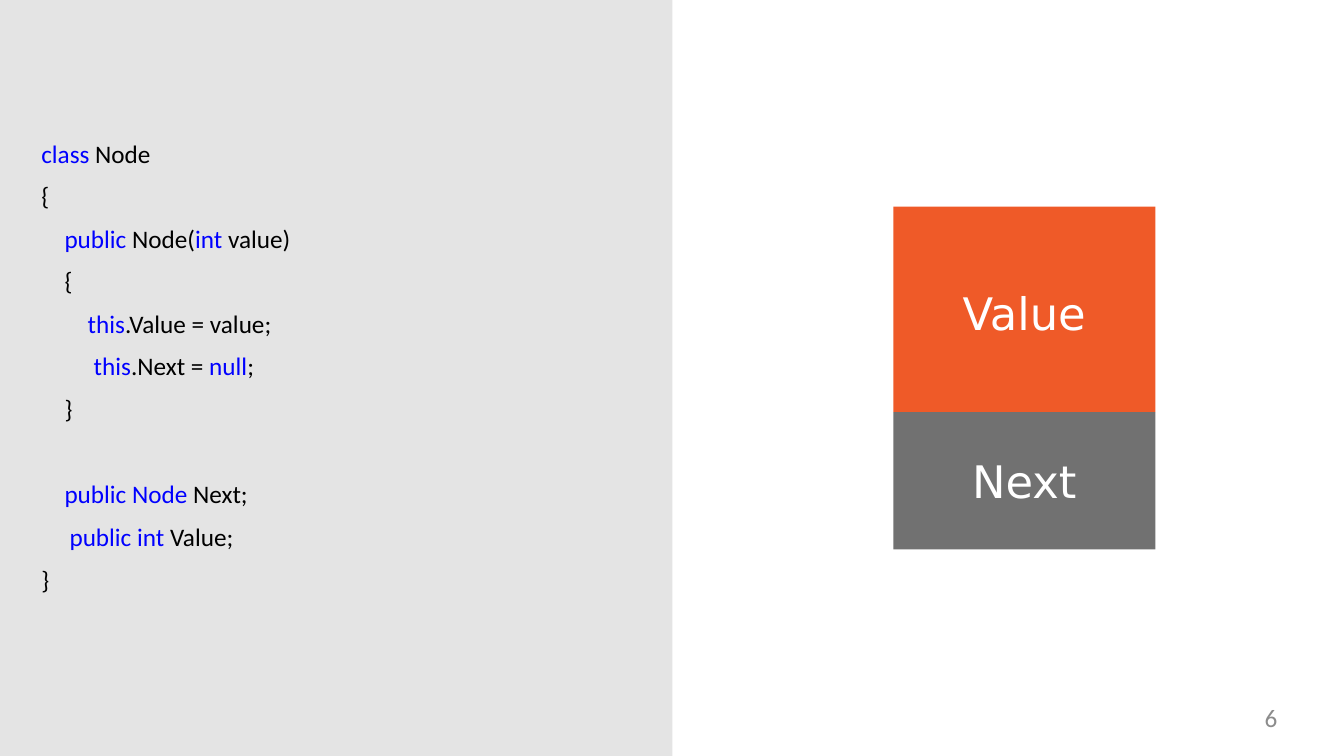
"""Builds a slide showing a linked-list node class beside a diagram of its fields."""
from pptx import Presentation
from pptx.dml.color import RGBColor
from pptx.enum.shapes import MSO_SHAPE
from pptx.enum.text import MSO_ANCHOR, PP_ALIGN
from pptx.util import Inches, Pt

RECTANGLE = MSO_SHAPE.RECTANGLE
MIDDLE = MSO_ANCHOR.MIDDLE
CENTER, RIGHT = PP_ALIGN.CENTER, PP_ALIGN.RIGHT

WHITE = RGBColor(0xFF, 0xFF, 0xFF)
BLACK = RGBColor(0x00, 0x00, 0x00)
KEYWORD_BLUE = RGBColor(0x00, 0x00, 0xFF)
PANEL_GRAY = RGBColor(0xE4, 0xE4, 0xE4)
VALUE_ORANGE = RGBColor(0xEF, 0x5A, 0x28)
NEXT_GRAY = RGBColor(0x71, 0x71, 0x71)
NUMBER_GRAY = RGBColor(0x8C, 0x8C, 0x8C)

PLAIN, KEYWORD = BLACK, KEYWORD_BLUE
LINE_GAP, SECTION_GAP = 8.8, 39.4

# Each line: indent in inches, space before in points, coloured pieces.
CODE_LINES = [
    (0.01, 0, [("class ", KEYWORD), ("Node", PLAIN)]),
    (0.01, LINE_GAP, [("{", PLAIN)]),
    (0.24, LINE_GAP, [("public ", KEYWORD), ("Node(", PLAIN), ("int ", KEYWORD), ("value)", PLAIN)]),
    (0.24, LINE_GAP, [("{", PLAIN)]),
    (0.47, LINE_GAP, [("this", KEYWORD), (".Value = value;", PLAIN)]),
    (0.53, LINE_GAP, [("this", KEYWORD), (".Next = ", PLAIN), ("null", KEYWORD), (";", PLAIN)]),
    (0.24, LINE_GAP, [("}", PLAIN)]),
    (0.24, SECTION_GAP, [("public Node ", KEYWORD), ("Next;", PLAIN)]),
    (0.29, LINE_GAP, [("public int ", KEYWORD), ("Value;", PLAIN)]),
    (0.01, LINE_GAP, [("}", PLAIN)]),
]
NODE_FIELDS = [("Value", 2.04, VALUE_ORANGE, 0.06), ("Next", 1.36, NEXT_GRAY, 0)]
NODE_LEFT, NODE_TOP, NODE_WIDTH = 8.86, 2.05, 2.6
SLIDE_NUMBER = "6"


def clear_margins(text_frame):
    text_frame.word_wrap = True
    text_frame.margin_left = text_frame.margin_right = 0
    text_frame.margin_top = text_frame.margin_bottom = 0


def add_text_frame(slide, left, top, width, height):
    box = slide.shapes.add_textbox(Inches(left), Inches(top), Inches(width), Inches(height))
    clear_margins(box.text_frame)
    return box.text_frame


def add_rectangle(slide, left, top, width, height, color):
    shape = slide.shapes.add_shape(RECTANGLE, Inches(left), Inches(top), Inches(width), Inches(height))
    shape.shadow.inherit = False
    shape.fill.solid()
    shape.fill.fore_color.rgb = color
    shape.line.fill.background()
    return shape


def style(font, name, size, color):
    font.name = name
    font.size = Pt(size)
    font.color.rgb = color


def add_code(slide):
    text_frame = add_text_frame(slide, 0.4, 1.37, 5.8, 4.56)
    for index, (indent, gap, pieces) in enumerate(CODE_LINES):
        paragraph = text_frame.add_paragraph() if index else text_frame.paragraphs[0]
        properties = paragraph._p.get_or_add_pPr()
        properties.set("marL", str(Inches(indent)))
        properties.set("indent", "0")
        if gap:
            paragraph.space_before = Pt(gap)
        for text, color in pieces:
            run = paragraph.add_run()
            run.text = text
            style(run.font, "Calibri", 18, color)


def add_node(slide):
    top = NODE_TOP
    for label, height, color, top_margin in NODE_FIELDS:
        shape = add_rectangle(slide, NODE_LEFT, top, NODE_WIDTH, height, color)
        text_frame = shape.text_frame
        clear_margins(text_frame)
        text_frame.margin_top = Inches(top_margin)
        text_frame.vertical_anchor = MIDDLE
        text_frame.text = label
        paragraph = text_frame.paragraphs[0]
        paragraph.alignment = CENTER
        style(paragraph.runs[0].font, "DejaVu Sans", 32, WHITE)
        top += height


def add_slide_number(slide):
    text_frame = add_text_frame(slide, 9.6, 6.97, 3.07, 0.38)
    text_frame.text = SLIDE_NUMBER
    paragraph = text_frame.paragraphs[0]
    paragraph.alignment = RIGHT
    style(paragraph.runs[0].font, "Calibri", 18, NUMBER_GRAY)


def main():
    presentation = Presentation()
    presentation.slide_width = Inches(13.33)
    presentation.slide_height = Inches(7.5)
    slide = presentation.slides.add_slide(presentation.slide_layouts[6])
    add_rectangle(slide, 0, 0, 6.67, 7.5, PANEL_GRAY)
    add_code(slide)
    add_node(slide)
    add_slide_number(slide)
    presentation.save("out.pptx")


if __name__ == "__main__":
    main()
